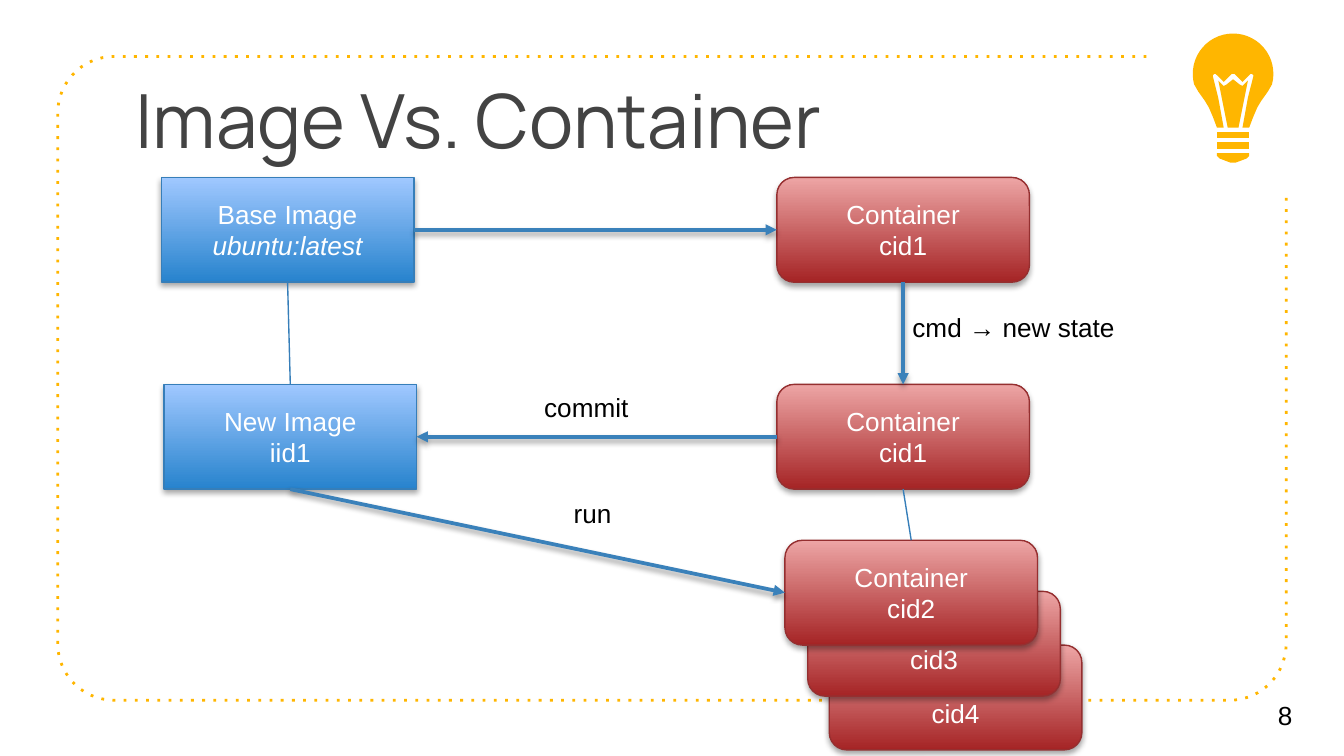
from dataclasses import dataclass
from math import cos, radians, sin

from lxml.etree import SubElement
from pptx import Presentation
from pptx.dml.color import RGBColor
from pptx.enum.dml import MSO_LINE
from pptx.enum.shapes import MSO_CONNECTOR, MSO_SHAPE
from pptx.enum.text import MSO_ANCHOR as Anchor
from pptx.enum.text import MSO_AUTO_SIZE as AutoSize
from pptx.enum.text import PP_ALIGN as Align
from pptx.oxml.ns import qn
from pptx.util import Inches, Pt

TOP, LEFT, BOTTOM, RIGHT = range(4)


@dataclass(frozen=True)
class Theme:
    """Colours, fonts and sizes of the slide."""
    accent: str = "FFB600"
    title: str = "434343"
    ink: str = "000000"
    paper: str = "FFFFFF"
    image: tuple = ("2783CD", "A0C8FF", "367EB9")
    container: tuple = ("A52425", "EDA5A5", "952F30")
    arrow: str = "3A81BA"
    link: str = "367EB9"
    title_font: str = "Manrope"
    body_font: str = "Arial"
    title_size: float = 40
    body_size: float = 14
    frame_width: float = 1.5
    arrow_width: float = 2
    thin_width: float = 0.75


@dataclass(frozen=True)
class Box:
    """A rectangle in inches."""
    left: float
    top: float
    width: float
    height: float

    def inner(self, left, top, width, height):
        """Return a box placed relative to this one."""
        return Box(self.left + left, self.top + top, width, height)

    def lengths(self):
        """Return left, top, width and height as lengths."""
        return [Inches(n) for n in (self.left, self.top, self.width, self.height)]


THEME = Theme()


def color(code):
    """Turn a hex code into a colour."""
    return RGBColor.from_string(code)


def set_shadow(item, opacity=0, blur=3.1, distance=1.8):
    """Give an item a downward shadow, or none when opacity is zero."""
    properties = item._element.spPr
    for old in properties.findall(qn("a:effectLst")):
        properties.remove(old)
    effects = SubElement(properties, qn("a:effectLst"))
    if opacity:
        shadow = SubElement(effects, qn("a:outerShdw"), blurRad=str(Pt(blur)),
                            dist=str(Pt(distance)), dir="5400000", rotWithShape="0")
        tint = SubElement(shadow, qn("a:srgbClr"), val=THEME.ink)
        SubElement(tint, qn("a:alpha"), val=str(opacity * 1000))


def write(shape, lines, size=THEME.body_size, font=THEME.body_font, ink=THEME.ink,
          align=Align.LEFT, anchor=Anchor.TOP, wrap=True, italic_line=None, inset=0.05):
    """Fill a shape with one paragraph for each line."""
    frame = shape.text_frame
    frame.word_wrap = wrap
    frame.auto_size = AutoSize.NONE if wrap else AutoSize.SHAPE_TO_FIT_TEXT
    frame.vertical_anchor = anchor
    frame.margin_top = frame.margin_bottom = Inches(inset)
    for index, line in enumerate(lines):
        paragraph = frame.add_paragraph() if index else frame.paragraphs[0]
        paragraph.alignment = align
        run = paragraph.add_run()
        run.text = line
        run.font.size, run.font.name = Pt(size), font
        run.font.color.rgb = color(ink)
        if index == italic_line:
            run.font.italic = True


def add_text(slide, box, text, **style):
    """Add a one-line text box."""
    write(slide.shapes.add_textbox(*box.lengths()), [text], **style)


def add_outline(shapes, box, points, close=True):
    """Draw a freeform whose points are relative to the box."""
    places = [(Inches(box.left + x), Inches(box.top + y)) for x, y in points]
    builder = shapes.build_freeform(*places[0], scale=1.0)
    builder.add_line_segments(places[1:], close=close)
    shape = builder.convert_to_shape()
    if close:
        shape.fill.solid()
        shape.fill.fore_color.rgb = color(THEME.accent)
        shape.line.fill.background()
    else:
        shape.fill.background()
        shape.line.color.rgb = color(THEME.accent)
    set_shadow(shape)
    return shape


def draw_frame(slide, box, radius=0.42, gap=1.04):
    """Draw the dotted rounded frame, open at its top right corner."""
    corners = [(radius, radius, 270), (radius, box.height - radius, 180),
               (box.width - radius, box.height - radius, 90)]
    points = [(box.width - gap, 0)]
    for x, y, start in corners:
        angles = [radians(start - step * 6) for step in range(16)]
        points += [(x + radius * cos(a), y + radius * sin(a)) for a in angles]
    points.append((box.width, gap))
    frame = add_outline(slide.shapes, box, points, close=False)
    frame.line.width = Pt(THEME.frame_width)
    frame.line.dash_style = MSO_LINE.ROUND_DOT
    frame.line._ln.find(qn("a:prstDash")).set("val", "dot")


def draw_bulb(slide, box, radius=0.3):
    """Draw the light bulb from half profiles mirrored about its axis."""
    dome = [(radius * sin(radians(angle)), radius * (1 - cos(radians(angle))))
            for angle in range(0, 106, 7)]
    glass = dome + [(0.26, 0.43), (0.21, 0.5), (0.18, 0.55), (0.15, 0.62), (0.12, 0.7),
                    (0.07, 0.7), (0.11, 0.48), (0.15, 0.32), (0.15, 0.31), (0.14, 0.3),
                    (0.13, 0.3), (0.12, 0.31), (0.07, 0.36), (0.01, 0.3), (0, 0.3)]
    filament = [(0, 0.34), (0.05, 0.38), (0.07, 0.39), (0.11, 0.35), (0.04, 0.7)]
    bands = [[(0.12, top), (0.12, top + 0.05)] for top in (0.73, 0.81)]
    tip = [(0.12, 0.89), (0.12, 0.91), (0.1, 0.93), (0.02, 0.96)]
    group = slide.shapes.add_group_shape()
    middle = box.width / 2
    for half in (*bands, tip, filament, glass):
        right = [(middle + x, y) for x, y in half]
        left = [(middle - x, y) for x, y in reversed(half)]
        add_outline(group.shapes, box, right + left)


def add_card(slide, box, lines, palette, kind=MSO_SHAPE.ROUNDED_RECTANGLE, **style):
    """Add a shaded card with centred text."""
    card = slide.shapes.add_shape(kind, *box.lengths())
    card.fill.gradient()
    card.fill.gradient_angle = 90
    for stop, code, position in zip(card.fill.gradient_stops, palette, (0, 1)):
        stop.color.rgb = color(code)
        stop.position = position
    card.line.color.rgb = color(palette[2])
    card.line.width = Pt(THEME.thin_width)
    set_shadow(card, opacity=35)
    write(card, lines, ink=THEME.paper, align=Align.CENTER, anchor=Anchor.MIDDLE, **style)
    return card


def join(slide, start, start_side, end, end_side, arrow=True):
    """Connect two cards with an arrow or a thin line."""
    line = slide.shapes.add_connector(MSO_CONNECTOR.STRAIGHT, 0, 0, 0, 0)
    line.begin_connect(start, start_side)
    line.end_connect(end, end_side)
    line.line.color.rgb = color(THEME.arrow if arrow else THEME.link)
    line.line.width = Pt(THEME.arrow_width if arrow else THEME.thin_width)
    if arrow:
        SubElement(line.line._ln, qn("a:tailEnd"), type="triangle")
    set_shadow(line, opacity=38 if arrow else 0, distance=1.6)


def draw_diagram(slide, box):
    """Draw the image and container cards, their arrows and labels."""
    cards = {}
    for key, left, top, name in [("cid4", 4.97, 3.48, "cid4"), ("cid3", 4.81, 3.08, "cid3"),
                                 ("first", 4.58, 0, "cid1"), ("changed", 4.58, 1.54, "cid1"),
                                 ("cid2", 4.64, 2.7, "cid2")]:
        cards[key] = add_card(slide, box.inner(left, top, 1.88, 0.78),
                              ["Container", name], THEME.container)
    for key, left, top, lines, italic in [
            ("base", 0, 0, ["Base Image", "ubuntu:latest"], 1),
            ("new", 0.02, 1.54, ["New Image", "iid1"], None)]:
        cards[key] = add_card(slide, box.inner(left, top, 1.88, 0.78), lines, THEME.image,
                              kind=MSO_SHAPE.RECTANGLE, italic_line=italic)
    for start, start_side, end, end_side, arrow in [
            ("base", RIGHT, "first", LEFT, True), ("first", BOTTOM, "changed", TOP, True),
            ("changed", LEFT, "new", RIGHT, True), ("new", BOTTOM, "cid2", LEFT, True),
            ("base", BOTTOM, "new", TOP, False), ("changed", BOTTOM, "cid2", TOP, False)]:
        join(slide, cards[start], start_side, cards[end], end_side, arrow)
    for left, top, width, text in [(5.49, 0.95, 2.15, "cmd → new state"),
                                   (2.75, 1.54, 1.02, "commit"), (2.97, 2.33, 0.57, "run")]:
        add_text(slide, box.inner(left, top, width, 0.4), text, wrap=False)


def main():
    """Build the slide and save it."""
    presentation = Presentation()
    presentation.slide_width = Inches(10)
    presentation.slide_height = presentation.slide_width * 9 // 16
    slide = presentation.slides.add_slide(presentation.slide_layouts[6])
    draw_frame(slide, Box(0.43, 0.42, 9.14, 4.79))
    add_text(slide, Box(0.91, 0.45, 7.51, 0.94), "Image Vs. Container", inset=0.1,
             size=THEME.title_size, font=THEME.title_font, ink=THEME.title)
    add_text(slide, Box(9.41, 5.02, 0.59, 0.6), "8", anchor=Anchor.MIDDLE, inset=0.1)
    draw_bulb(slide, Box(8.88, 0.25, 0.59, 0.96))
    draw_diagram(slide, Box(1.2, 1.32, 6.85, 4.26))
    presentation.save("out.pptx")


if __name__ == "__main__":
    main()
